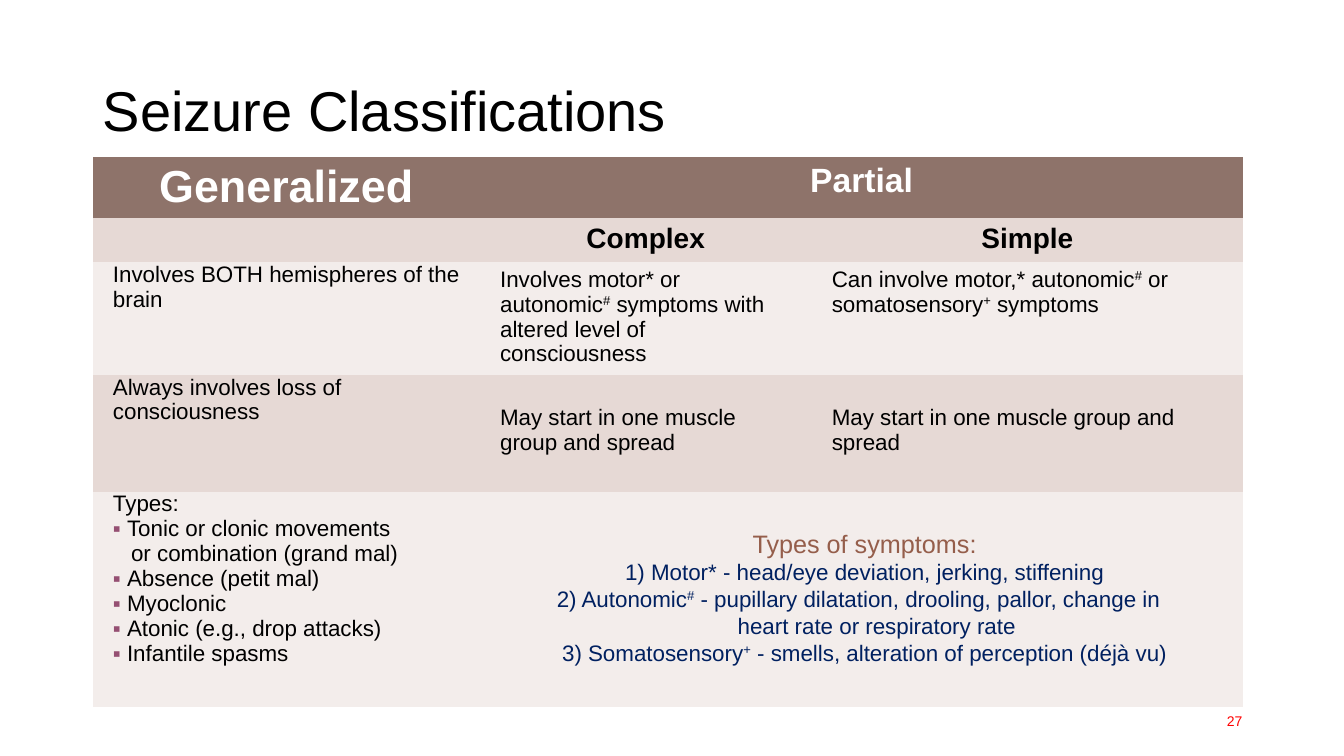
from pptx import Presentation
from pptx.dml.color import RGBColor
from pptx.enum.text import MSO_ANCHOR, PP_ALIGN
from pptx.oxml.ns import qn
from pptx.util import Inches, Pt
from lxml import etree

LEFT, CENTER, RIGHT = PP_ALIGN.LEFT, PP_ALIGN.CENTER, PP_ALIGN.RIGHT
MIDDLE = MSO_ANCHOR.MIDDLE
FONT = "Arial"
BLACK, WHITE, RED, NAVY = "000000", "FFFFFF", "FF0000", "002060"
BROWN, ROSE, PALE, RUST, PLUM = "8E736A", "E6D9D5", "F3EDEB", "955E4B", "954F72"
NO_STYLE = "{2D5ABB26-0587-4C30-8999-92F81FD0307C}"

# Content: a paragraph is a list of runs, "#" and "+" alone are superscripts
TITLE = "Seizure Classifications"
PAGE_NUMBER = "27"
SPREAD = ["May start in one muscle group and spread"]
HEADINGS = [  # row, column, text, size, colour
    (0, 0, "Generalized", 32, WHITE),
    (0, 1, "Partial", 24, WHITE),
    (1, 1, "Complex", 20, BLACK),
    (1, 2, "Simple", 20, BLACK),
]
STATEMENTS = [  # row, column, top margin, runs
    (2, 0, 0, ["Involves BOTH hemispheres of the brain"]),
    (2, 1, 0.05, ["Involves motor* or autonomic", "#",
                  " symptoms with altered level of consciousness"]),
    (2, 2, 0.05, ["Can involve motor,* autonomic", "#", " or somatosensory", "+", " symptoms"]),
    (3, 0, 0, ["Always involves loss of consciousness"]),
    (3, 1, 0.3, SPREAD),
    (3, 2, 0.3, SPREAD),
]
SEIZURE_TYPES = [  # text, bulleted, left margin
    ("Types:", False, 0),
    ("Tonic or clonic movements", True, 0.14),
    ("or combination (grand mal)", False, 0.18),
    ("Absence (petit mal)", True, 0.14),
    ("Myoclonic", True, 0.14),
    ("Atonic (e.g., drop attacks)", True, 0.14),
    ("Infantile spasms", True, 0.14),
]
SYMPTOMS = [  # runs, size, colour, left margin, right margin
    (["Types of symptoms:"], 18, RUST, 0, 0),
    (["1) Motor* - head/eye deviation, jerking, stiffening"], 16, NAVY, 0, 0),
    (["2) Autonomic", "#", " - pupillary dilatation, drooling, pallor, change in"],
     16, NAVY, 0, 0.12),
    (["heart rate or respiratory rate"], 16, NAVY, 0.24, 0),
    (["3) Somatosensory", "+", " - smells, alteration of perception (déjà vu)"],
     16, NAVY, 0, 0),
]
COLUMNS = [3.84, 3.29, 4.28]
ROWS = [(0.6, BROWN), (0.44, ROSE), (1.12, PALE), (1.16, ROSE), (2.13, PALE)]


def color(value):
    return RGBColor.from_string(value)


def write(para, runs, size, shade=BLACK, align=LEFT, bold=False):
    para.alignment = align
    for text in runs:
        span = para.add_run()
        span.text = text
        span.font.name = FONT
        span.font.size = Pt(size)
        span.font.bold = bold
        span.font.color.rgb = color(shade)
        if text in ("#", "+"):
            span.font._element.set("baseline", "30000")


def next_para(frame, index):
    return frame.paragraphs[0] if index == 0 else frame.add_paragraph()


def add_bullet(para, hang):
    props = para._p.get_or_add_pPr()
    props.set("indent", str(-Inches(hang)))
    shade = etree.SubElement(props, qn("a:buClr"))
    etree.SubElement(shade, qn("a:srgbClr"), val=PLUM)
    etree.SubElement(props, qn("a:buFont"), typeface=FONT)
    etree.SubElement(props, qn("a:buChar"), char="▪")


def set_margins(cell, side, top):
    cell.margin_left = cell.margin_right = Inches(side)
    cell.margin_top, cell.margin_bottom = Inches(top), Inches(0.05)


deck = Presentation()
deck.slide_width, deck.slide_height = Inches(13.33), Inches(7.5)
page = deck.slides.add_slide(deck.slide_layouts[5])

# Title
title = page.shapes.title
title.left, title.top = Inches(0.92), Inches(0.4)
title.width, title.height = Inches(11.5), Inches(1.45)
title.text_frame.vertical_anchor = MIDDLE
title.text_frame.paragraphs[0].line_spacing = 0.9
write(title.text_frame.paragraphs[0], [TITLE], 40)

# Table grid and fills
frame = page.shapes.add_table(len(ROWS), len(COLUMNS), Inches(0.92), Inches(1.56),
                              Inches(sum(COLUMNS)), Inches(sum(row[0] for row in ROWS)))
table = frame.table
table._tbl.tblPr.find(qn("a:tableStyleId")).text = NO_STYLE
for column, width in zip(table.columns, COLUMNS):
    column.width = Inches(width)
for row, (height, fill) in zip(table.rows, ROWS):
    row.height = Inches(height)
    for cell in row.cells:
        cell.fill.solid()
        cell.fill.fore_color.rgb = color(fill)
table.cell(0, 1).merge(table.cell(0, 2))

# Table text
for row, column, text, size, shade in HEADINGS:
    cell = table.cell(row, column)
    set_margins(cell, 0.1, 0.05)
    write(cell.text_frame.paragraphs[0], [text], size, shade, CENTER, True)
for row, column, top, runs in STATEMENTS:
    cell = table.cell(row, column)
    set_margins(cell, 0.2, top)
    write(cell.text_frame.paragraphs[0], runs, 16)

types_cell = table.cell(4, 0)
set_margins(types_cell, 0.2, 0)
for index, (text, bulleted, margin) in enumerate(SEIZURE_TYPES):
    para = next_para(types_cell.text_frame, index)
    para._p.get_or_add_pPr().set("marL", str(Inches(margin)))
    if bulleted:
        add_bullet(para, margin)
    write(para, [text], 16)

# Symptom list over the lower right cells
box = page.shapes.add_textbox(Inches(5.02), Inches(5.19), Inches(7.11), Inches(1.51))
box.text_frame.word_wrap = True
for index, (runs, size, shade, left, right) in enumerate(SYMPTOMS):
    para = next_para(box.text_frame, index)
    props = para._p.get_or_add_pPr()
    props.set("marL", str(Inches(left)))
    props.set("marR", str(Inches(right)))
    write(para, runs, size, shade, CENTER)

# Page number
number = page.shapes.add_textbox(Inches(9.42), Inches(6.95), Inches(3), Inches(0.4))
number.text_frame.word_wrap = True
number.text_frame.vertical_anchor = MIDDLE
write(number.text_frame.paragraphs[0], [PAGE_NUMBER], 10, RED, RIGHT)

deck.save("out.pptx")
